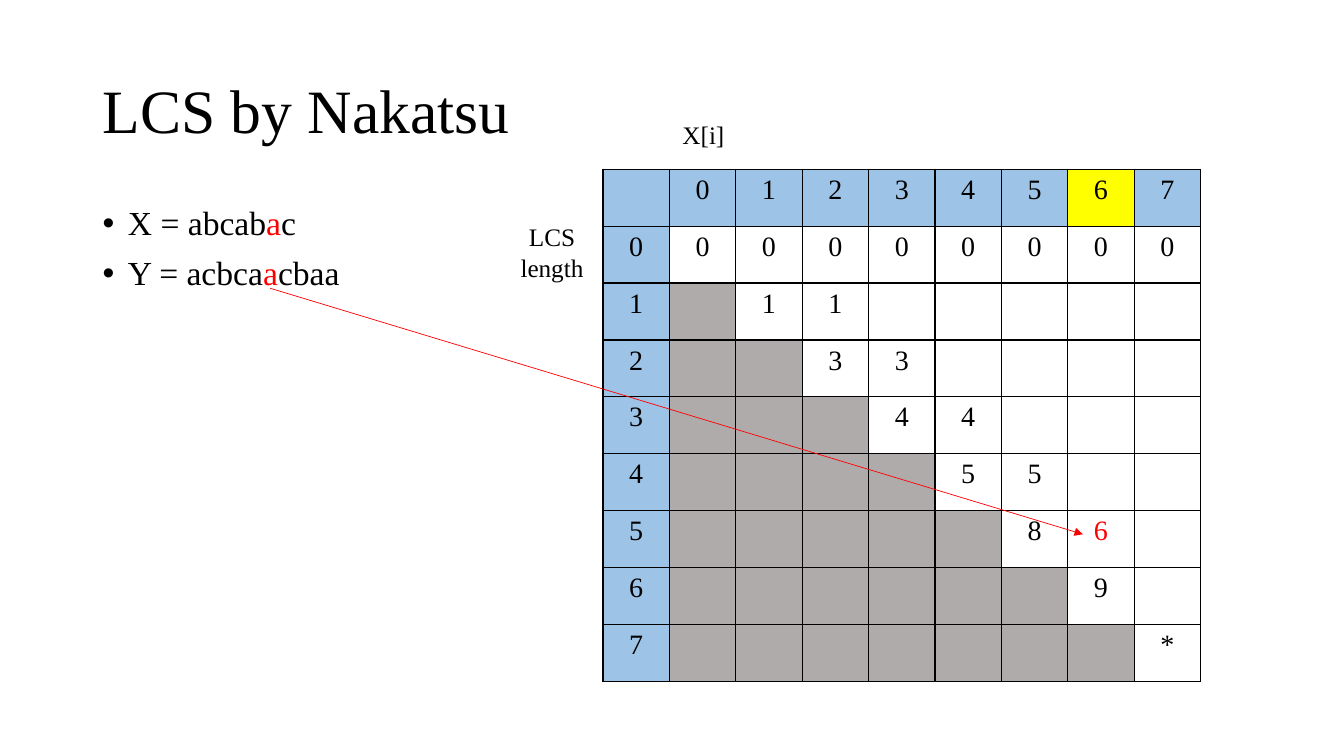
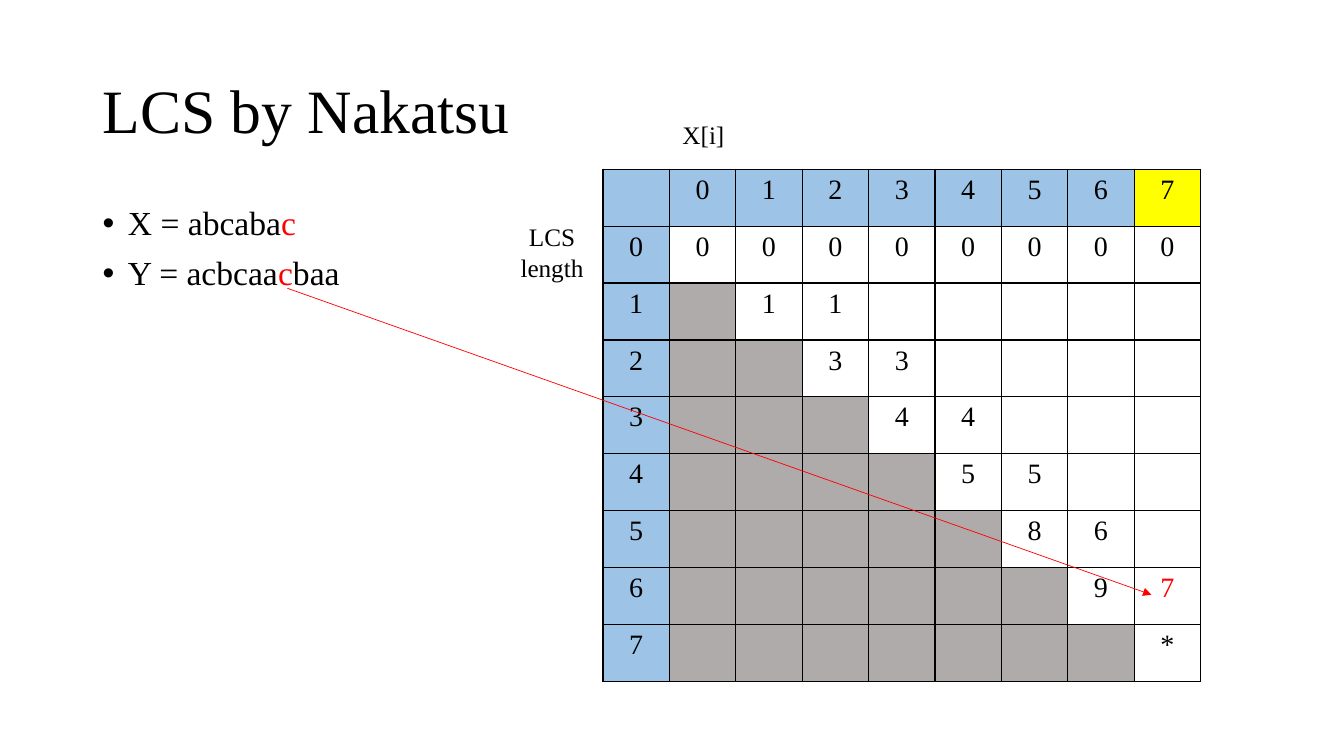
from lxml import etree
from pptx import Presentation
from pptx import util as u
from pptx.dml.color import RGBColor
from pptx.enum import shapes, text
from pptx.oxml.ns import qn

BLACK, RED, WHITE = "000000", "FF0000", "FFFFFF"
BLUE, YELLOW, GREY = "9DC3E6", "FFFF00", "AFABAB"
FONT = "Times New Roman"
SIZE = 9  # rows and columns of the grid, headers included


def color(hex_code):
    return RGBColor.from_string(hex_code)


def write(tf, paragraphs, size=18, tint=BLACK, align=text.PP_ALIGN.LEFT,
          bullet=False, spacing=None, before=0):
    """Write paragraphs, each a list of runs; every second run is red."""
    for i, runs in enumerate(paragraphs):
        p = tf.paragraphs[0] if i == 0 else tf.add_paragraph()
        if bullet:
            pPr = p._p.get_or_add_pPr()
            pPr.set("marL", str(u.Inches(0.25)))
            pPr.set("indent", str(-u.Inches(0.25)))
            etree.SubElement(pPr, qn("a:buFont"), typeface="Arial")
            etree.SubElement(pPr, qn("a:buChar"), char="•")
        p.alignment = align
        p.space_before = u.Pt(before if i else 0)
        if spacing:
            p.line_spacing = spacing
        for j, part in enumerate(runs):
            r = p.add_run()
            r.text = part
            r.font.name, r.font.size = FONT, u.Pt(size)
            r.font.color.rgb = color(RED if j % 2 else tint)


def add_borders(cell, tint=BLACK, width=1):
    tcPr = cell._tc.get_or_add_tcPr()
    for side in ("lnL", "lnR", "lnT", "lnB"):
        ln = etree.SubElement(tcPr, qn(f"a:{side}"), w=str(u.Pt(width)))
        fill = etree.SubElement(ln, qn("a:solidFill"))
        etree.SubElement(fill, qn("a:srgbClr"), val=tint)


class Deck:
    def __init__(self):
        self.prs = Presentation()
        self.prs.slide_width = u.Inches(13.33)
        self.prs.slide_height = u.Inches(7.5)
        self.s = None

    def new_slide(self, title):
        self.s = self.prs.slides.add_slide(self.prs.slide_layouts[6])
        self.text_box(0.92, 0.4, 11.5, 1.45, [[title]], size=44, spacing=0.9,
                      anchor=text.MSO_ANCHOR.MIDDLE)

    def text_box(self, x, y, w, h, paragraphs, anchor=text.MSO_ANCHOR.TOP, **style):
        sp = self.s.shapes.add_textbox(*map(u.Inches, (x, y, w, h)))
        tf = sp.text_frame
        tf.word_wrap = True
        tf.vertical_anchor = anchor
        write(tf, paragraphs, **style)

    def lcs_table(self, entries, column, found):
        """Draw the grid; each row's entries start on the diagonal."""
        frame = self.s.shapes.add_table(
            SIZE, SIZE, *map(u.Inches, (5.98, 1.68, 5.93, 5.08)))
        table = frame.table
        table.first_row = table.horz_banding = False
        for row in range(SIZE):
            for col in range(SIZE):
                value, fill = "", WHITE
                if row == 0 or col == 0:
                    value = str(row + col - 1) if row + col else ""
                    fill = YELLOW if row == 0 and col == column else BLUE
                elif col < row:
                    fill = GREY
                else:
                    value = entries[row - 1][col - row:col - row + 1]
                cell = table.cell(row, col)
                add_borders(cell)
                cell.fill.solid()
                cell.fill.fore_color.rgb = color(fill)
                if value:
                    write(cell.text_frame, [[value]], size=20,
                          tint=RED if (row, col) == found else BLACK,
                          align=text.PP_ALIGN.CENTER)

    def arrow(self, start, end):
        line = self.s.shapes.add_connector(
            shapes.MSO_CONNECTOR.STRAIGHT, *map(u.Inches, (*start, *end)))
        line.line.color.rgb = color(RED)
        line.line.width = u.Pt(0.5)
        etree.SubElement(line.line._get_or_add_ln(), qn("a:tailEnd"), type="triangle")
        etree.SubElement(line._element.spPr, qn("a:effectLst"))

    def step(self, strings, entries, column, found, start, end):
        """Add one slide that shows a single step of the algorithm."""
        self.new_slide("LCS by Nakatsu")
        self.text_box(0.92, 2, 4.37, 4.76, strings, size=24, bullet=True,
                      spacing=0.9, before=10)
        self.lcs_table(entries, column, found)
        self.text_box(6.67, 1.13, 0.95, 0.4, [["X[i]"]])
        self.text_box(5.02, 2.15, 0.91, 0.71, [["LCS length"]],
                      align=text.PP_ALIGN.CENTER)
        self.arrow(start, end)


def main():
    deck = Deck()
    first_rows = ["0" * 8, "11", "33", "44", "55", "86"]
    deck.step([["X = abcab", "a", "c"], ["Y = acbca", "a", "cbaa"]],
              first_rows + ["9", "*"], column=7, found=(6, 7),
              start=(2.68, 2.86), end=(10.74, 5.3))
    deck.step([["X = abcaba", "c"], ["Y = acbcaa", "c", "baa"]],
              first_rows + ["97", "*"], column=8, found=(7, 8),
              start=(2.85, 2.86), end=(11.42, 5.9))
    deck.prs.save("out.pptx")


if __name__ == "__main__":
    main()
